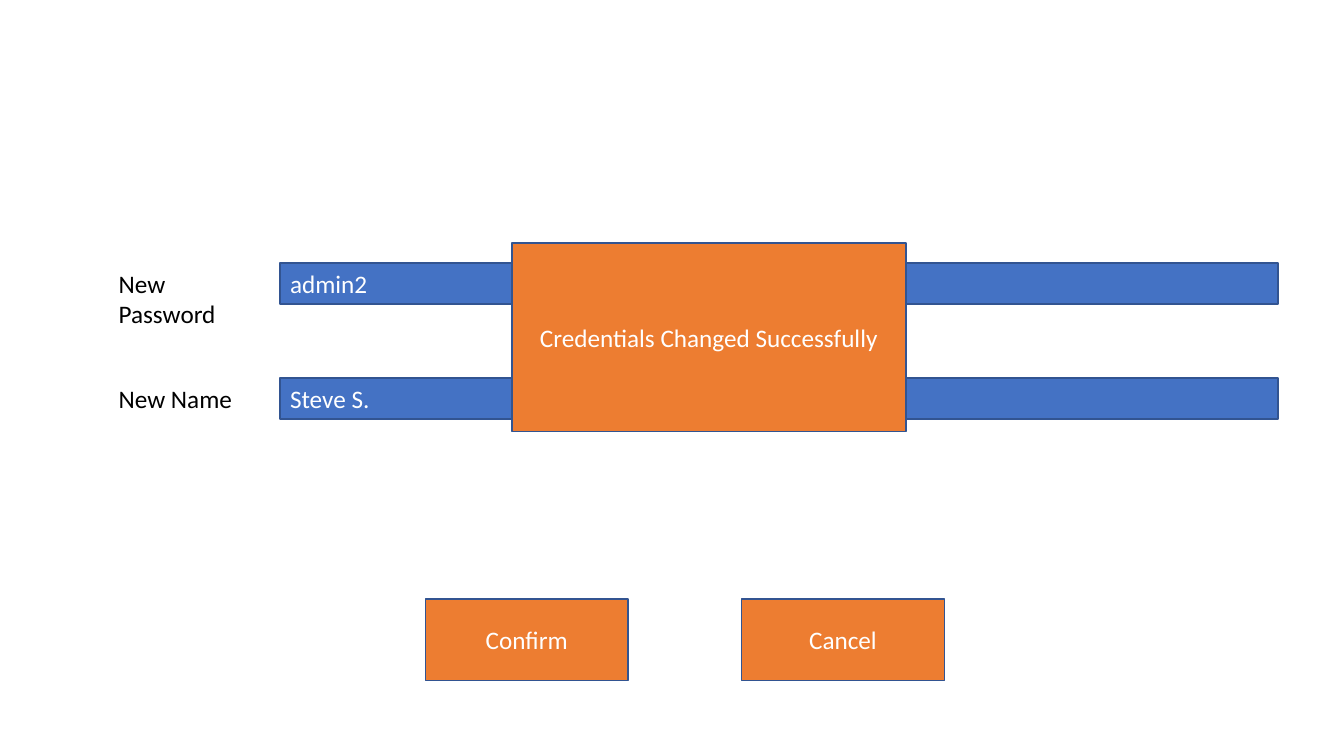
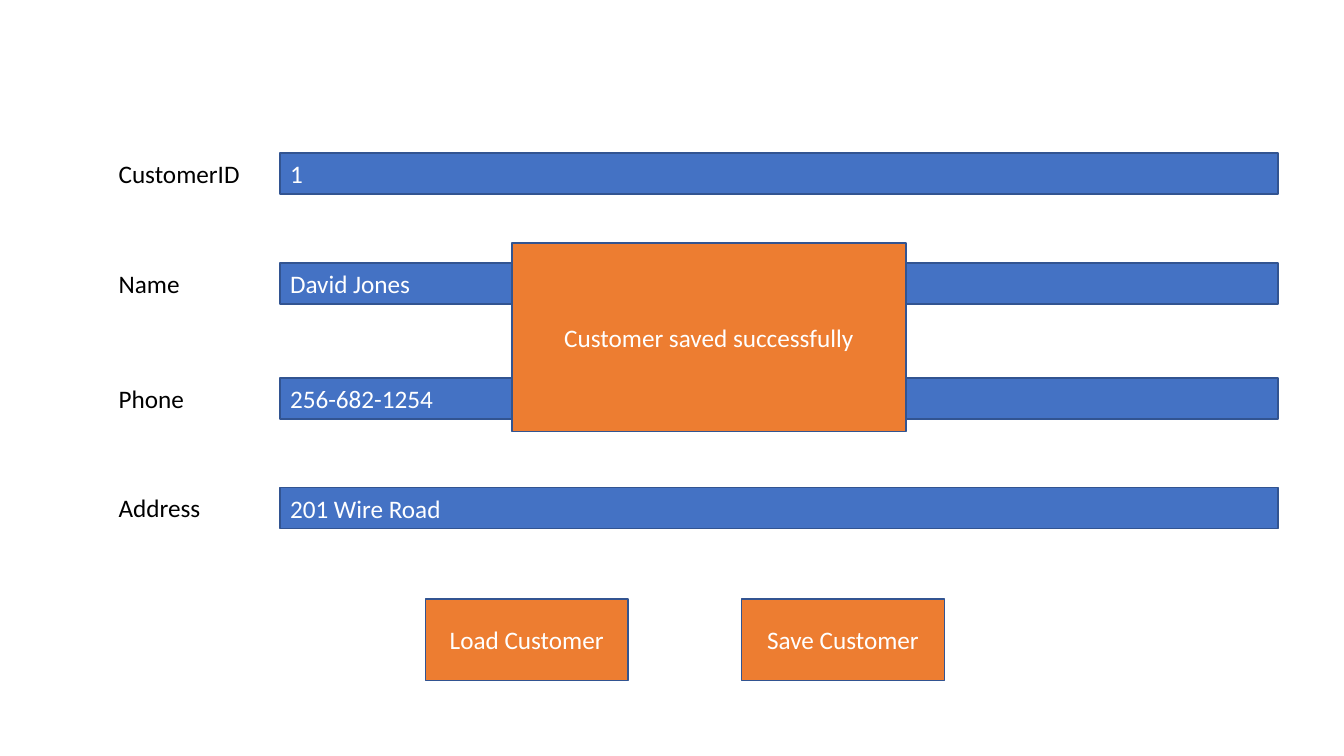
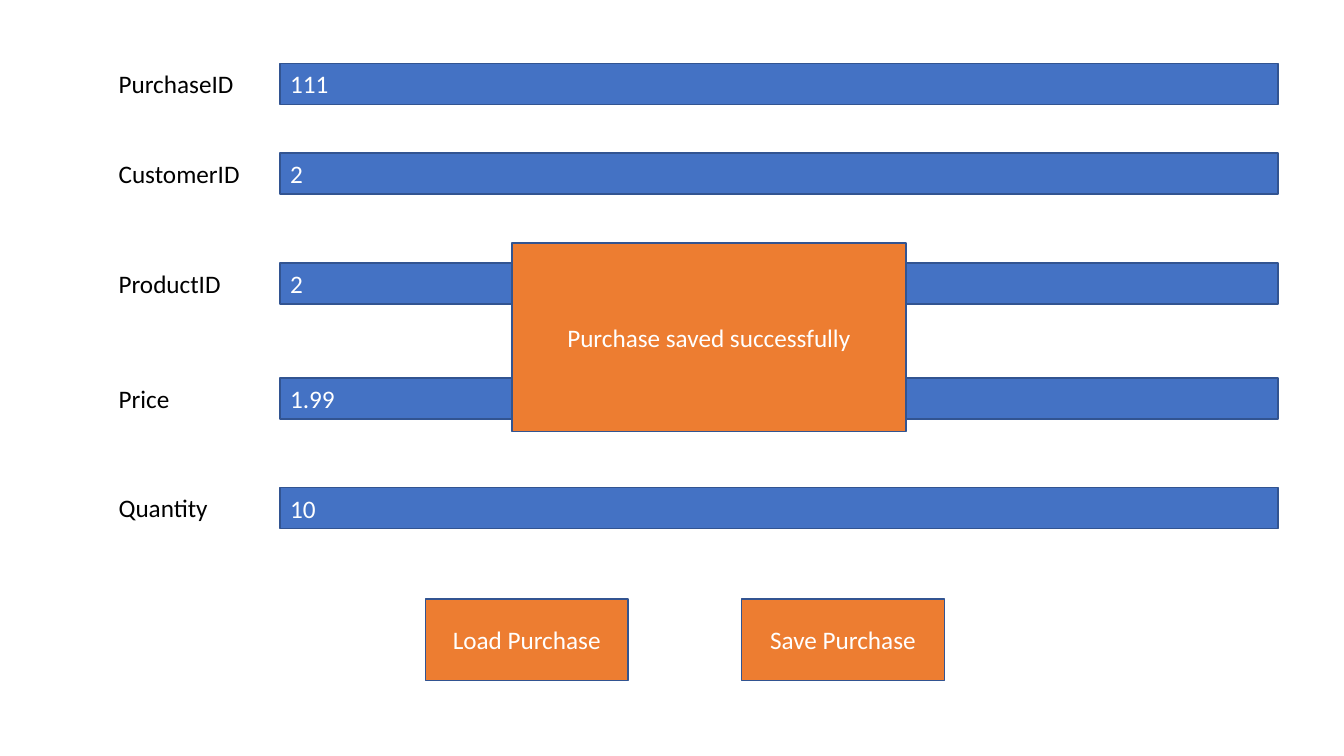
from pptx import Presentation
from pptx.dml.color import RGBColor
from pptx.enum.shapes import MSO_SHAPE as Preset
from pptx.enum.text import MSO_ANCHOR as Anchor, MSO_AUTO_SIZE as AutoSize, PP_ALIGN as Align
from pptx.util import Cm, Pt

FORMS = [
    {
        "first_row": 2,
        "fields": [("New Password", "admin2"), ("New Name", "Steve S.")],
        "buttons": ["Confirm", "Cancel"],
        "message": "Credentials Changed Successfully",
    },
    {
        "first_row": 1,
        "fields": [("CustomerID", "1"), ("Name", "David Jones"),
                   ("Phone", "256-682-1254"), ("Address", "201 Wire Road")],
        "buttons": ["Load Customer", "Save Customer"],
        "message": "Customer saved successfully",
    },
    {
        "first_row": 0,
        "fields": [("PurchaseID", "111"), ("CustomerID", "2"), ("ProductID", "2"),
                   ("Price", "1.99"), ("Quantity", "10")],
        "buttons": ["Load Purchase", "Save Purchase"],
        "message": "Purchase saved successfully",
    },
]

BLUE, ORANGE, EDGE = "4472C4", "ED7D31", "325491"
WHITE, BLACK = "FFFFFF", "000000"
FONT = {"name": "Calibri", "size": Pt(18)}

ROW_TOPS = [1.6, 3.86, 6.63, 9.53, 12.29]
ROW_HEIGHT = 1.03
LABEL_LEFT, LABEL_WIDTH = 2.74, 3.66
FIELD_LEFT, FIELD_WIDTH = 7.06, 25.15
BUTTON_LEFT, BUTTON_TOP, BUTTON_STEP = 10.72, 15.09, 7.97
BUTTON_SIZE = (5.11, 2.06)
MESSAGE_PLACE = (12.9, 6.12, 9.93, 4.75)


def rgb(value):
    """Turn a hex string into a colour."""
    return RGBColor.from_string(value)


def write(shape, text, color, align, **frame_format):
    """Put one formatted paragraph into a shape."""
    frame = shape.text_frame
    for name, value in {"word_wrap": True, **frame_format}.items():
        setattr(frame, name, value)
    para = frame.paragraphs[0]
    para.alignment = align
    span = para.add_run()
    span.text = text
    for name, value in FONT.items():
        setattr(span.font, name, value)
    span.font.color.rgb = rgb(color)


def add_label(page, place, text):
    """Add a field label that grows with its text."""
    box = page.shapes.add_textbox(*map(Cm, place))
    write(box, text, BLACK, Align.LEFT, auto_size=AutoSize.SHAPE_TO_FIT_TEXT)


def add_block(page, place, text, fill, align=Align.CENTER):
    """Add a filled rectangle with white text."""
    block = page.shapes.add_shape(Preset.RECTANGLE, *map(Cm, place))
    block.shadow.inherit = False
    block.fill.solid()
    block.fill.fore_color.rgb = rgb(fill)
    block.line.color.rgb = rgb(EDGE)
    block.line.width = Pt(1)
    write(block, text, WHITE, align, vertical_anchor=Anchor.MIDDLE)


def add_form(deck, form):
    """Add a slide with fields, buttons and a message on top."""
    page = deck.slides.add_slide(deck.slide_layouts[6])
    for top, (label, value) in zip(ROW_TOPS[form["first_row"]:], form["fields"]):
        add_block(page, (FIELD_LEFT, top, FIELD_WIDTH, ROW_HEIGHT), value, BLUE, Align.LEFT)
        add_label(page, (LABEL_LEFT, top, LABEL_WIDTH, ROW_HEIGHT), label)
    for index, caption in enumerate(form["buttons"]):
        left = BUTTON_LEFT + index * BUTTON_STEP
        add_block(page, (left, BUTTON_TOP, *BUTTON_SIZE), caption, ORANGE)
    add_block(page, MESSAGE_PLACE, form["message"], ORANGE)


def main():
    """Build and save the deck."""
    deck = Presentation()
    deck.slide_width, deck.slide_height = Cm(33.87), Cm(19.05)
    for form in FORMS:
        add_form(deck, form)
    deck.save("out.pptx")


if __name__ == "__main__":
    main()
